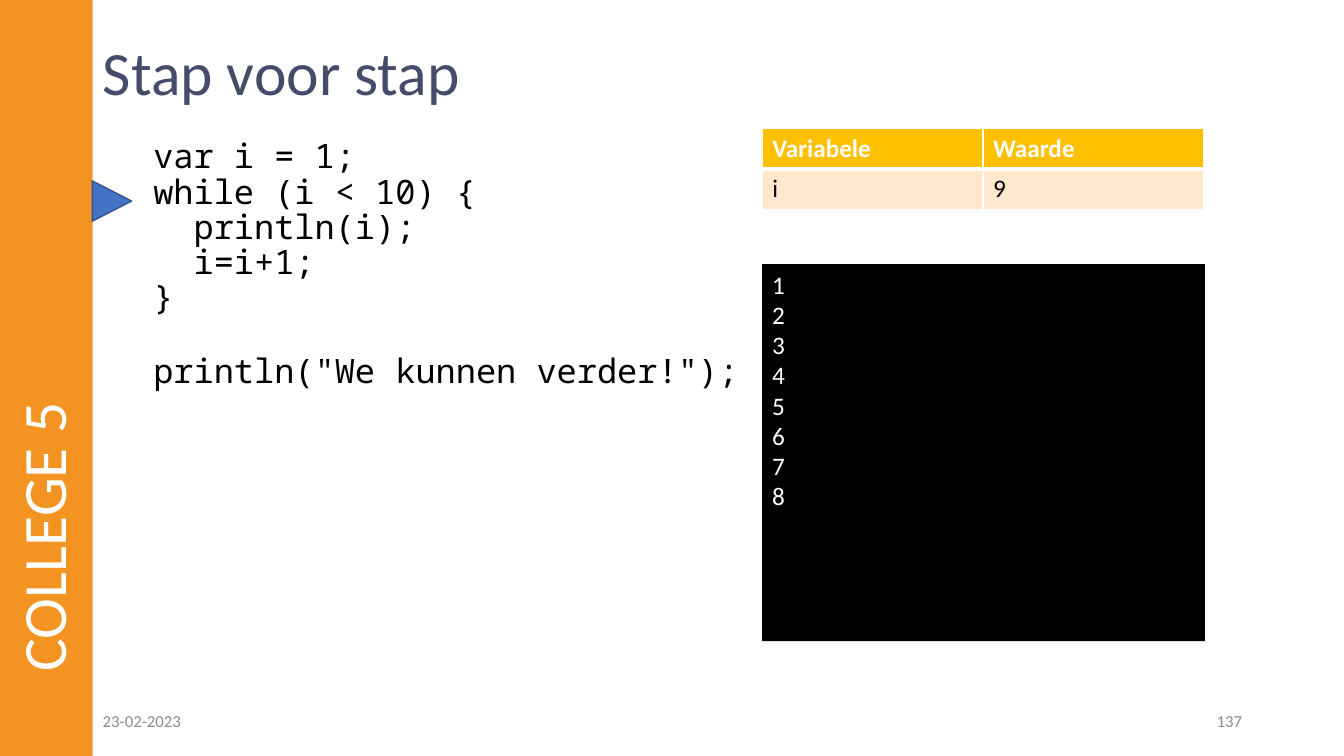
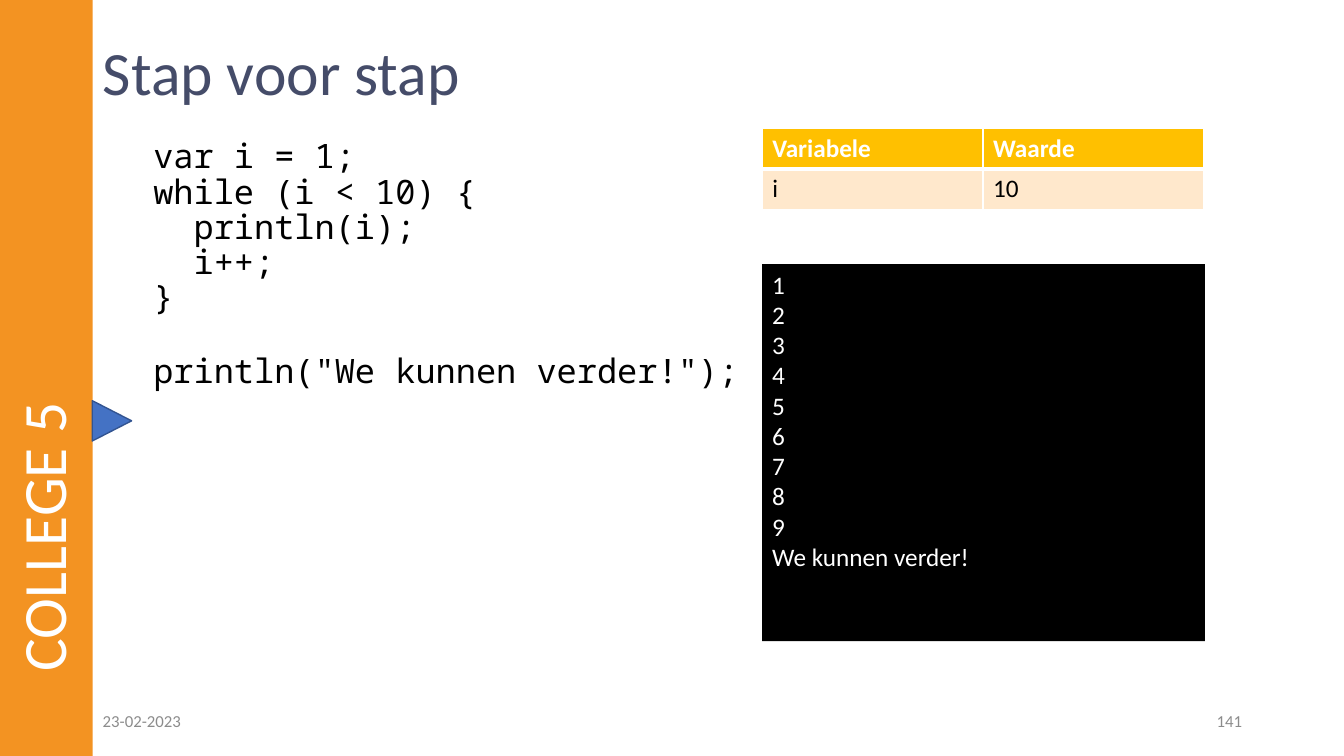
from lxml import etree
from pptx import Presentation
from pptx.dml.color import RGBColor
from pptx.enum import shapes, text
from pptx.oxml import ns
from pptx.util import Pt

PX = 9144
SANS, MONO = "Calibri", "Noto Sans Mono"
WHITE, BLACK, GREY, NAVY = "FFFFFF", "000000", "8C8C8C", "454C69"
ORANGE, GOLD, CREAM = "F39322", "FFC000", "FFE8CC"
BLUE, EDGE = "4472C4", "325491"
LEFT, RIGHT = text.PP_ALIGN.LEFT, text.PP_ALIGN.RIGHT
TOP, MIDDLE = text.MSO_ANCHOR.TOP, text.MSO_ANCHOR.MIDDLE


def emu(*box):
    """Turn px lengths into EMU."""
    return [n * PX for n in box]


def paint(fill, color):
    """Give a fill one solid colour."""
    fill.solid()
    fill.fore_color.rgb = RGBColor.from_string(color)


def place(shape, box, turn=0):
    """Move a shape to a px box and rotate it."""
    shape.left, shape.top, shape.width, shape.height = emu(*box)
    shape.rotation = turn


def style(para, size, color, font=SANS, bold=False, align=LEFT):
    """Set the font and alignment of a paragraph."""
    para.alignment = align
    para.font.size, para.font.name, para.font.bold = Pt(size), font, bold
    para.font.color.rgb = RGBColor.from_string(color)


def write(shape, lines, size, color, font=SANS, align=LEFT, anchor=MIDDLE,
          pitch=1.0, indent=None):
    """Fill a text shape with one paragraph per line and return them."""
    frame = shape.text_frame
    frame.word_wrap = True
    frame.auto_size = text.MSO_AUTO_SIZE.NONE
    frame.vertical_anchor = anchor
    frame.text = "\n".join(lines)
    for para in frame.paragraphs:
        if indent is not None:
            props = para._p.get_or_add_pPr()
            props.set("marL", str(indent * PX))
            props.set("indent", "0")
            etree.SubElement(props, ns.qn("a:buNone"))
        style(para, size, color, font, align=align)
        para.line_spacing = pitch
        para.space_before = Pt(0)
    return frame.paragraphs


def label(slide, box, lines, size, color, **look):
    """Add a text box with styled lines."""
    shape = slide.shapes.add_textbox(*emu(*box))
    write(shape, lines, size, color, **look)
    return shape


def band(slide, layout):
    """Put the side band on the shared layout."""
    bar = slide.shapes.add_shape(shapes.MSO_SHAPE.RECTANGLE, *emu(0, 0, 92, 750))
    bar.shadow.inherit = False
    paint(bar.fill, ORANGE)
    bar.line.fill.background()
    layout.shapes.element.insert(2, bar.element)


def frame(slide, page):
    """Set the title, side heading and footer."""
    title, side = slide.shapes.title, slide.placeholders[2]
    place(title, (92, 32, 1150, 86))
    write(title, ["Stap voor stap"], 44, NAVY, pitch=0.9)
    place(side, (-292, 292, 676, 92), 270)
    write(side, ["COLLEGE 5"], 44, WHITE, pitch=0.9, indent=0)
    label(slide, (92, 695, 300, 40), ["23-02-2023"], 12, GREY)
    label(slide, (942, 695, 300, 40), [page], 12, GREY, align=RIGHT)


def code(slide, box, step):
    """Set the program listing, with a gap before its last line."""
    body = slide.placeholders[1]
    place(body, box)
    lines = ["var i = 1;", "while (i < 10) {", "  println(i);", "  " + step,
             "}", 'println("We kunnen verder!");']
    paras = write(body, lines, 24, BLACK, font=MONO, anchor=TOP, pitch=0.8,
                  indent=50)
    for para in paras[1:]:
        para.space_before = Pt(2)
    paras[-1].space_before = Pt(30)


def mark(slide, box):
    """Point at the current line."""
    tip = slide.shapes.add_shape(shapes.MSO_SHAPE.ISOSCELES_TRIANGLE, *emu(*box))
    tip.rotation = 90
    tip.shadow.inherit = False
    paint(tip.fill, BLUE)
    paint(tip.line.fill, EDGE)
    tip.line.width = Pt(1)


def edge(cell, side, width):
    """Draw one white border of a cell."""
    line = etree.SubElement(cell._tc.get_or_add_tcPr(), ns.qn("a:ln" + side),
                            w=str(Pt(width)))
    fill = etree.SubElement(line, ns.qn("a:solidFill"))
    etree.SubElement(fill, ns.qn("a:srgbClr"), val=WHITE)


def state(slide, box, value):
    """Add the table of variables."""
    rows = [("Variabele", "Waarde"), ("i", value)]
    grid = slide.shapes.add_table(2, 2, *emu(*box)).table
    for r, row in enumerate(rows):
        head = r == 0
        for c, word in enumerate(row):
            cell = grid.cell(r, c)
            for side in "LRTB":
                thick = side == ("B" if head else "T")
                edge(cell, side, 3 if thick else 1)
            paint(cell.fill, GOLD if head else CREAM)
            cell.text = word
            style(cell.text_frame.paragraphs[0], 18, WHITE if head else BLACK,
                  bold=head)


def console(slide, box, lines):
    """Add the black output panel."""
    panel = label(slide, box, lines, 18, WHITE, anchor=TOP)
    paint(panel.fill, BLACK)


def trace(slide, page, step, top, value, lines):
    """Build one step of the program trace."""
    frame(slide, page)
    code(slide, (92, 137, 664, 296), step)
    state(slide, (756, 127, 438, 81), value)
    mark(slide, (91, top, 40, 39))
    console(slide, (756, 262, 439, 374), lines)


def main():
    """Build and save the slides."""
    deck = Presentation()
    deck.slide_width, deck.slide_height = emu(1333, 750)
    layout = deck.slide_layouts[3]
    count = [str(n) for n in range(1, 10)]
    steps = [("137", "i=i+1;", 180, "9", count[:8]),
             ("141", "i++;", 398, "10", count + ["We kunnen verder!"])]
    for n, step in enumerate(steps):
        slide = deck.slides.add_slide(layout)
        if n == 0:
            band(slide, layout)
        trace(slide, *step)
    deck.save("out.pptx")


if __name__ == "__main__":
    main()
